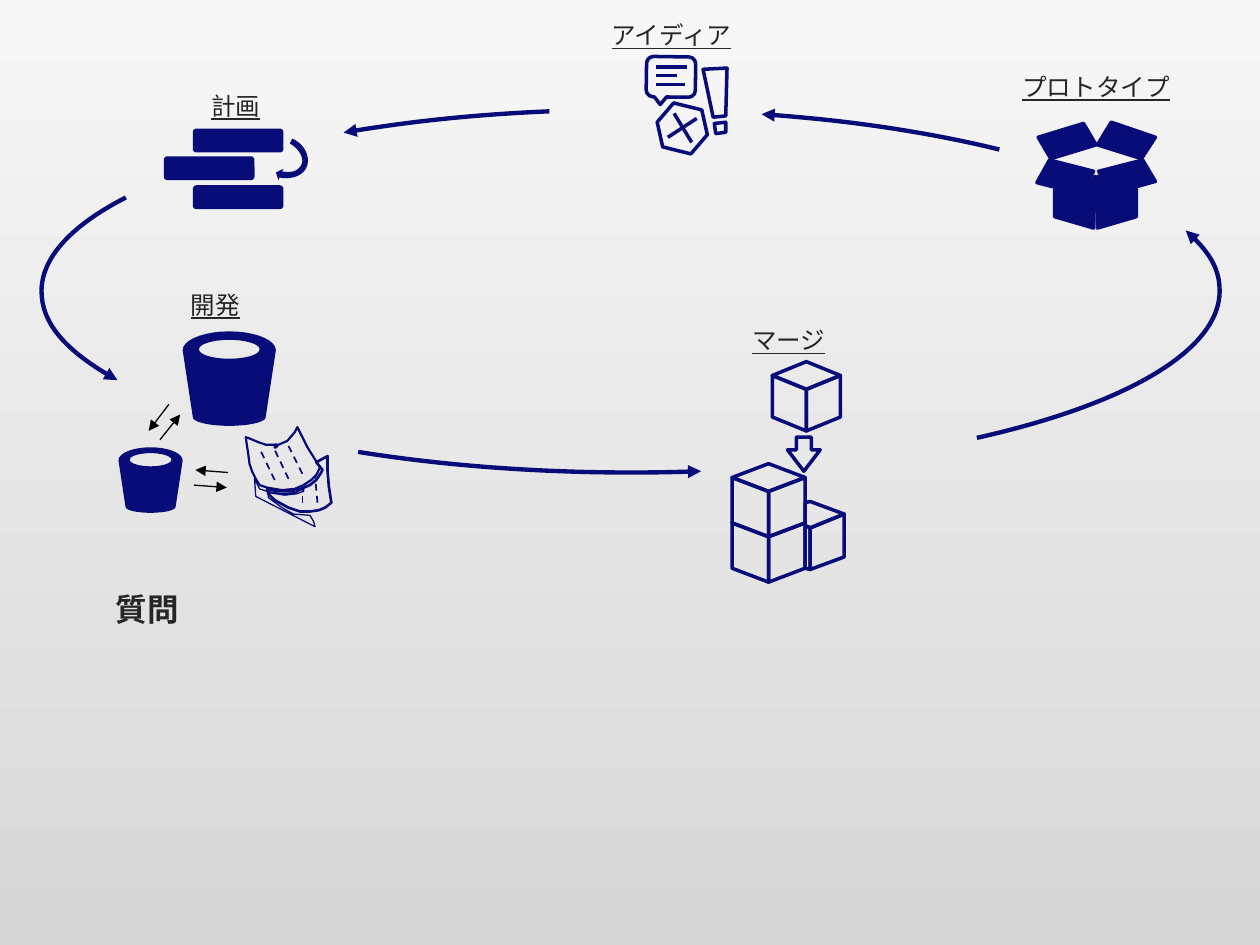
"""Build a development cycle slide with icons joined by curved arrows."""
from math import cos, radians, sin

from lxml import etree
from pptx import Presentation
from pptx.dml.color import RGBColor
from pptx.enum.dml import MSO_LINE
from pptx.enum.shapes import MSO_CONNECTOR, MSO_SHAPE
from pptx.enum.text import MSO_AUTO_SIZE, PP_ALIGN
from pptx.oxml.ns import qn
from pptx.util import Inches, Pt

STRAIGHT = MSO_CONNECTOR.STRAIGHT
ARC, HEXAGON = MSO_SHAPE.ARC, MSO_SHAPE.HEXAGON
CALLOUT, BAR = MSO_SHAPE.ROUNDED_RECTANGULAR_CALLOUT, MSO_SHAPE.ROUNDED_RECTANGLE
DASH = MSO_LINE.DASH
CENTER, LEFT = PP_ALIGN.CENTER, PP_ALIGN.LEFT
FIT = MSO_AUTO_SIZE.SHAPE_TO_FIT_TEXT

COLORS = {"navy": "070C78", "text": "262626", "arrow": "000000",
          "top": "F7F7F7", "bottom": "D7D7D7"}
LABEL_FONT, QUESTION_FONT = "Noto Sans CJK JP", "Calibri"

LABELS = [("計画", 1.19, 0.67, 1.36), ("開発", 1.03, 2.25, 1.36),
          ("マージ", 5.58, 2.53, 1.36), ("アイディア", 4.65, 0.11, 1.36),
          ("プロトタイプ", 7.93, 0.52, 1.54)]
QUESTION = ("質問", 0.82, 4.63, 0.71)

CYCLE_BOX = (0.33, 0.87, 9.35, 2.88)
CYCLE_ARCS = [(94.22, 111.74), (120.59, 140.08), (18.34, 66.83),
              (209.7, 5.91), (176.59, 198.66)]

PLAN_BARS = [(1.53, 1.02), (1.3, 1.24), (1.53, 1.47)]
PLAN_TURN = [
    [(2.32, 1.1), (2.41, 1.14), (2.46, 1.23), (2.44, 1.31)],
    [(2.44, 1.31), (2.42, 1.39), (2.32, 1.43), (2.22, 1.41)],
    [(2.21, 1.43), (2.19, 1.37), (2.25, 1.34), (2.24, 1.36)],
    [(2.24, 1.36), (2.32, 1.38), (2.39, 1.35), (2.4, 1.28)],
    [(2.4, 1.28), (2.4, 1.23), (2.36, 1.17), (2.3, 1.14)],
]

BUCKETS = [(1.45, 2.63, 0.74, 0.75), (0.94, 3.55, 0.51, 0.52)]
EXCHANGES = [((1.34, 3.21), (1.18, 3.42)), ((1.27, 3.49), (1.43, 3.29)),
             ((1.81, 3.75), (1.55, 3.73)), ((1.54, 3.85), (1.8, 3.87))]

FRONT_SHEET = [(1.95, 3.47), (1.98, 3.48), (2.05, 3.51), (2.11, 3.53), (2.21, 3.53),
               (2.28, 3.5), (2.34, 3.43), (2.36, 3.39), (2.4, 3.47), (2.44, 3.55),
               (2.49, 3.63), (2.54, 3.71), (2.51, 3.77), (2.47, 3.81), (2.41, 3.85),
               (2.34, 3.88), (2.24, 3.89), (2.12, 3.87), (2.06, 3.85), (2.03, 3.8),
               (2, 3.74), (1.98, 3.68), (1.97, 3.6)]
BACK_SHEET = [(2.6, 3.62), (2.6, 3.74), (2.61, 3.86), (2.63, 3.99), (2.58, 4.03),
              (2.53, 4.05), (2.46, 4.06), (2.38, 4.06), (2.29, 4.03), (2.18, 3.97),
              (2.13, 3.92), (2.12, 3.88), (2.2, 3.9), (2.31, 3.9), (2.39, 3.88),
              (2.46, 3.85), (2.51, 3.81), (2.55, 3.75), (2.56, 3.73), (2.51, 3.67)]
SHEET_PIN = [(2.19, 3.53), (2.2, 3.54), (2.19, 3.55), (2.18, 3.55)]
SHEET_SHADOW = [(2.02, 3.8), (2.06, 3.88), (2.12, 3.9), (2.24, 3.92), (2.34, 3.91),
                (2.41, 3.88), (2.41, 3.9), (2.35, 3.92), (2.26, 3.93), (2.13, 3.91),
                (2.13, 3.95), (2.24, 4.03), (2.33, 4.08), (2.46, 4.09), (2.49, 4.14),
                (2.5, 4.18), (2.03, 3.94)]
SHEET_LINES = [((2.4, 3.76), (2.29, 3.54)), ((2.29, 3.8), (2.18, 3.57)),
               ((2.18, 3.81), (2.07, 3.58)), ((2.52, 3.99), (2.5, 3.78)),
               ((2.4, 3.99), (2.4, 3.87))]

IDEA_LINES = [((5.53, 0.94), (5.3, 1.09)), ((5.35, 0.9), (5.49, 1.13)),
              ((5.21, 0.53), (5.45, 0.53)), ((5.21, 0.6), (5.37, 0.6)),
              ((5.21, 0.67), (5.44, 0.67))]
EXCLAMATION = [[(5.67, 0.98), (5.76, 0.97), (5.76, 1.05), (5.68, 1.06)],
               [(5.58, 0.55), (5.77, 0.54), (5.76, 0.92), (5.66, 0.93)]]

SIDE_CUBE = [[(6.39, 4.17), (6.43, 4.19), (6.43, 4.52), (6.39, 4.51)],
             [(6.7, 4.08), (6.7, 4.42), (6.43, 4.52), (6.43, 4.19)],
             [(6.43, 3.98), (6.7, 4.08), (6.43, 4.19), (6.39, 4.17), (6.39, 3.99)]]
MERGE_ARROW = [(6.32, 3.47), (6.44, 3.47), (6.44, 3.57), (6.51, 3.57),
               (6.38, 3.74), (6.25, 3.57), (6.32, 3.57)]

OPEN_BOX = [
    [(8.69, 1.4), (8.68, 1.81), (8.37, 1.72), (8.37, 1.51), (8.59, 1.56)],
    [(8.71, 1.4), (8.8, 1.56), (9.02, 1.5), (9.02, 1.72), (8.71, 1.81)],
    [(8.33, 1.27), (8.68, 1.36), (8.58, 1.54), (8.23, 1.45)],
    [(9.07, 1.27), (9.17, 1.44), (8.81, 1.54), (8.72, 1.36)],
    [(8.6, 0.98), (8.7, 1.15), (8.34, 1.26), (8.24, 1.09)],
    [(8.82, 0.97), (9.17, 1.09), (9.06, 1.26), (8.71, 1.15)],
]


def rgb(name):
    return RGBColor.from_string(COLORS[name])


def paint(shape, fill=False, width=None):
    shape.shadow.inherit = False
    if fill:
        shape.fill.solid()
        shape.fill.fore_color.rgb = rgb("navy")
    else:
        shape.fill.background()
    if width:
        shape.line.color.rgb = rgb("navy")
        shape.line.width = Pt(width)
    else:
        shape.line.fill.background()


def add_arrowhead(shape):
    etree.SubElement(shape.line._get_or_add_ln(), qn("a:tailEnd"), type="triangle")


def add_preset(slide, kind, box, fill=False, width=None, rotation=0, adjustments=()):
    shape = slide.shapes.add_shape(kind, *map(Inches, box))
    paint(shape, fill, width)
    shape.rotation = rotation
    for index, value in enumerate(adjustments):
        shape.adjustments[index] = value
    return shape


def add_outline(slide, contours, fill=False, width=None):
    scaled = [[(Inches(x), Inches(y)) for x, y in contour] for contour in contours]
    builder = slide.shapes.build_freeform(*scaled[0][0], scale=1.0)
    for index, contour in enumerate(scaled):
        if index:
            builder.move_to(*contour[0])
        builder.add_line_segments(contour[1:], close=True)
    paint(builder.convert_to_shape(), fill, width)


def add_line(slide, ends, width, color="navy", dashed=False, arrow=False):
    start, end = ends
    line = slide.shapes.add_connector(STRAIGHT, *map(Inches, start + end))
    line.line.color.rgb = rgb(color)
    line.line.width = Pt(width)
    if dashed:
        line.line.dash_style = DASH
    if arrow:
        add_arrowhead(line)
    etree.SubElement(line._element.spPr, qn("a:effectLst"))


def add_label(slide, label, height, size, font, question=False):
    text, left, top, width = label
    box = slide.shapes.add_textbox(*map(Inches, (left, top, width, height)))
    box.text_frame.word_wrap = not question
    box.text_frame.auto_size = FIT
    paragraph = box.text_frame.paragraphs[0]
    paragraph.alignment = LEFT if question else CENTER
    run = paragraph.add_run()
    run.text = text
    run.font.name, run.font.size = font, Pt(size)
    run.font.bold, run.font.underline = question, not question
    run.font.color.rgb = rgb("text")
    properties = run._r.get_or_add_rPr()
    etree.SubElement(properties, qn("a:ea"), typeface=LABEL_FONT)


def bezier(a, b, c, d, steps=8):
    weights = [((1 - t) ** 3, 3 * t * (1 - t) ** 2, 3 * t * t * (1 - t), t ** 3)
               for t in (step / steps for step in range(steps + 1))]
    return [tuple(sum(w * p[axis] for w, p in zip(row, (a, b, c, d))) for axis in (0, 1))
            for row in weights]


def ellipse(center_x, center_y, radius_x, radius_y, start, end):
    return [(center_x + radius_x * cos(radians(angle)), center_y + radius_y * sin(radians(angle)))
            for angle in range(start, end + 1, 10)]


def bucket(left, top, width, height):
    parts = [(0.2, 0.5, 0.2, 180, 360), (0.91, 0.39, 0.09, 0, 180), (0.19, 0.325, 0.1, 0, 350)]
    rim, base, opening = [ellipse(left + width / 2, top + height * y, width * rx, height * ry, a, b)
                          for y, rx, ry, a, b in parts]
    return [rim + base, opening]


def cube(x, top, half, depth, height, lid=True):
    front, side = top + 2 * depth, top + depth
    faces = [[(x, front), (x + dx, side), (x + dx, side + height), (x, front + height)]
             for dx in (-half, half)]
    return faces + [[(x, top), (x + half, side), (x, front), (x - half, side)]] * lid


def main():
    presentation = Presentation()
    presentation.slide_width, presentation.slide_height = Inches(10), Inches(7.5)
    slide = presentation.slides.add_slide(presentation.slide_layouts[6])
    background = slide.background.fill
    background.gradient()
    background.gradient_angle = 270
    for stop, name in zip(background.gradient_stops, ("top", "bottom")):
        stop.color.rgb = rgb(name)

    for left, top in PLAN_BARS:
        add_preset(slide, BAR, (left, top, 0.72, 0.19), fill=True, adjustments=[0.15])
    turn = [bezier(*part) if index != 2 else part for index, part in enumerate(PLAN_TURN)]
    add_outline(slide, [sum(turn, [])], fill=True)

    for contours, width in (([FRONT_SHEET], 1.25), ([SHEET_SHADOW], 0.75),
                            ([BACK_SHEET, SHEET_PIN], 1.5)):
        add_outline(slide, contours, width=width)
    for ends in SHEET_LINES:
        add_line(slide, ends, 1, dashed=True)

    add_preset(slide, HEXAGON, (5.21, 0.84, 0.41, 0.36), width=2, rotation=14)
    add_preset(slide, CALLOUT, (5.13, 0.45, 0.39, 0.32), width=2, rotation=0.8,
               adjustments=[-0.21, 0.69, 0.17])
    for ends in IDEA_LINES:
        add_line(slide, ends, 2)
    add_outline(slide, EXCLAMATION, width=2)

    for ends in EXCHANGES:
        add_line(slide, ends, 0.75, color="arrow", arrow=True)
    for box in BUCKETS:
        add_outline(slide, bucket(*box), fill=True)

    stack = cube(6.1, 3.68, 0.29, 0.11, 0.36) + cube(6.1, 4.04, 0.29, 0.11, 0.36, lid=False)
    add_outline(slide, cube(6.4, 2.87, 0.27, 0.11, 0.33) + [MERGE_ARROW] + stack + SIDE_CUBE, width=2)
    for angles in CYCLE_ARCS:
        arc = add_preset(slide, ARC, CYCLE_BOX, width=2.5, adjustments=angles)
        arc._element.spPr.xfrm.set("flipH", "1")
        add_arrowhead(arc)
    add_outline(slide, OPEN_BOX, fill=True, width=2)

    for label in LABELS:
        add_label(slide, label, 0.34, 14, LABEL_FONT)
    add_label(slide, QUESTION, 0.4, 18, QUESTION_FONT, question=True)
    presentation.save("out.pptx")


if __name__ == "__main__":
    main()
